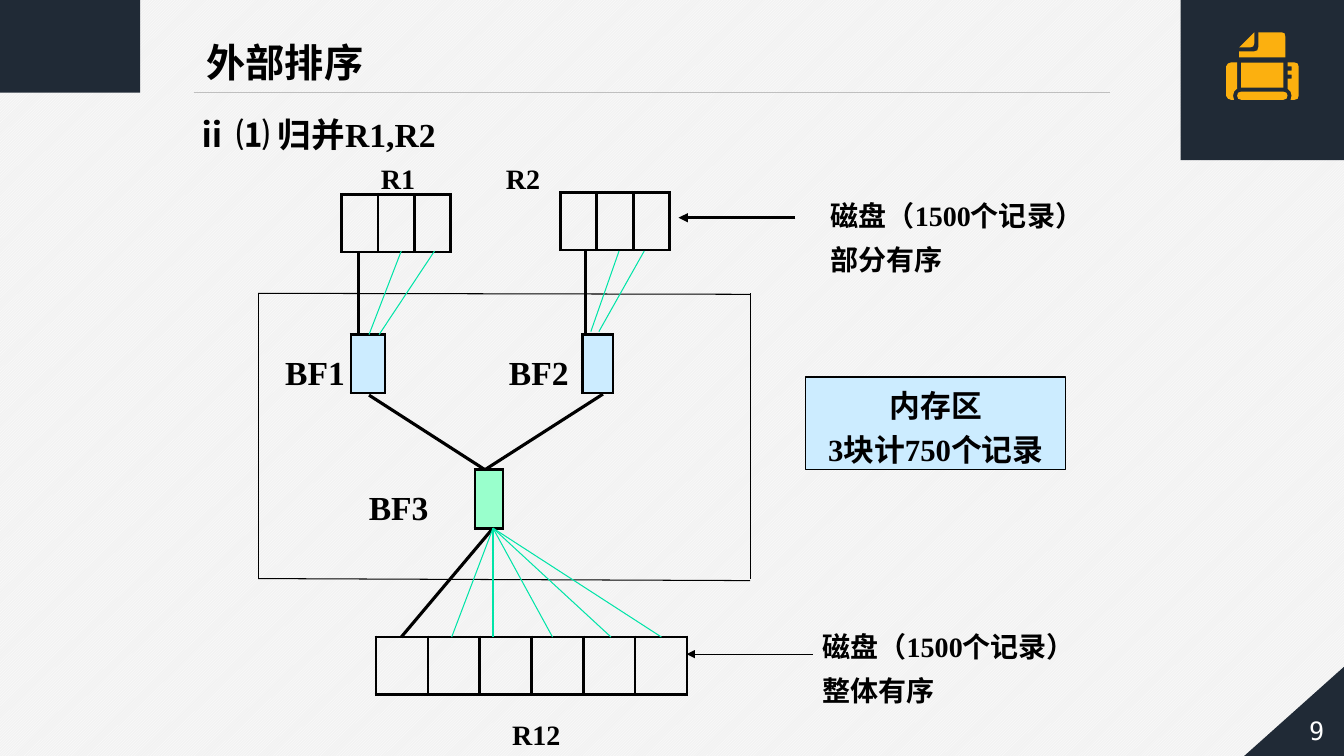
from lxml import etree
from pptx import Presentation, util as u
from pptx.dml import color
from pptx.enum import dml, shapes, text
from pptx.oxml import ns

COLS, ROWS = 1333, 750
COLORS = {
    "navy": "202A36", "rule": "BFBFBF", "black": "000000", "white": "FFFFFF",
    "paper": "F2F2F2", "blue": "CCECFF", "mint": "99FFCC", "green": "00E4A8",
    "amber": "FCB00F",
}
FONT = "Times New Roman"
LEFT, CENTER = text.PP_ALIGN.LEFT, text.PP_ALIGN.CENTER
TOP, MIDDLE = text.MSO_ANCHOR.TOP, text.MSO_ANCHOR.MIDDLE
FIT, FIXED = text.MSO_AUTO_SIZE.SHAPE_TO_FIT_TEXT, text.MSO_AUTO_SIZE.NONE
KIND = shapes.MSO_SHAPE


def rgb(name):
    return color.RGBColor.from_string(COLORS[name])


def assign(target, values):
    for key, value in values.items():
        setattr(target, key, value)


def sub(parent, tag, **attrs):
    return etree.SubElement(parent, ns.qn(tag), **attrs)


class Board:
    def __init__(self, prs):
        self.col = prs.slide_width / COLS
        self.row = prs.slide_height / ROWS
        self.s = prs.slides.add_slide(prs.slide_layouts[5])
        fill = self.s.background.fill
        fill.patterned()
        fill.pattern = dml.MSO_PATTERN.LIGHT_UPWARD_DIAGONAL
        fill.fore_color.rgb, fill.back_color.rgb = rgb("white"), rgb("paper")

    def box(self, x, y, w, h):
        return [round(v * step) for v, step in
                zip((x, y, w, h), (self.col, self.row) * 2)]

    def set_text(self, sp, lines, size, spacing=1.3, align=LEFT, anchor=TOP, wrap=True,
                 fit=FIXED, font=FONT, ink="black", bold=True, tab=None):
        tf = sp.text_frame
        assign(tf, {"word_wrap": wrap, "auto_size": fit, "vertical_anchor": anchor})
        for i, line in enumerate(lines):
            p = tf.add_paragraph() if i else tf.paragraphs[0]
            if tab:
                stops = sub(p._p.get_or_add_pPr(), "a:tabLst")
                sub(stops, "a:tab", pos=str(round(tab * self.col)), algn="l")
            assign(p, {"alignment": align, "line_spacing": spacing})
            r = p.add_run()
            r.text = line
            assign(r.font, {"name": font, "size": u.Pt(size), "bold": bold})
            r.font.color.rgb = rgb(ink)

    def title(self, at, line, size):
        sp = self.s.shapes.title
        assign(sp, dict(zip(("left", "top", "width", "height"), self.box(*at))))
        self.set_text(sp, [line], size, wrap=False)

    def label(self, at, lines, size, **style):
        sp = self.s.shapes.add_textbox(*self.box(*at))
        self.set_text(sp, lines, size, fit=FIT, **style)

    def paint(self, sp, fill, line):
        sp.shadow.inherit = False
        if fill:
            sp.fill.solid()
            sp.fill.fore_color.rgb = rgb(fill)
        else:
            sp.fill.background()
        if line:
            sp.line.color.rgb, sp.line.width = rgb(line), u.Pt(0.75)
        else:
            sp.line.fill.background()
        return sp

    def shape(self, kind, at, fill=None, line=None, flip=False):
        sp = self.paint(self.s.shapes.add_shape(kind, *self.box(*at)), fill, line)
        if flip:
            sp._element.spPr.find(ns.qn("a:xfrm")).set("flipH", "1")
        return sp

    def outline(self, points, fill):
        start, *rest = points
        builder = self.s.shapes.build_freeform(*start, scale=(self.col, self.row))
        builder.add_line_segments(rest, close=True)
        self.paint(builder.convert_to_shape(), fill, None)

    def line(self, start, end, ink="black", width=0.75, arrow=False):
        c = self.s.shapes.add_connector(
            shapes.MSO_CONNECTOR.STRAIGHT, *self.box(*start, *end))
        c.line.color.rgb, c.line.width = rgb(ink), u.Pt(width)
        if arrow:
            sub(c.line._get_or_add_ln(), "a:tailEnd", type="triangle")
        sub(c._element.spPr, "a:effectLst")

    def blocks(self, x, y, count, width, height, fill=None):
        frame = self.s.shapes.add_table(
            1, count, *self.box(x, y, count * width, height))
        table = frame.table
        assign(table, {"first_row": False, "horz_banding": False})
        for cell in table.iter_cells():
            tc_pr = cell._tc.get_or_add_tcPr()
            for side in "LRTB":
                ln = sub(tc_pr, f"a:ln{side}", w=str(u.Pt(2.25)))
                sub(sub(ln, "a:solidFill"), "a:srgbClr", val=COLORS["black"])
            if fill:
                cell.fill.solid()
                cell.fill.fore_color.rgb = rgb(fill)
            else:
                cell.fill.background()


def frame_slide(b):
    b.shape(KIND.RECTANGLE, (0, 0, 139, 92), "navy")
    b.line((192, 92), (1101, 92), "rule", 0.5)
    b.shape(KIND.RIGHT_TRIANGLE, (1233, 658, 104, 93), "navy", flip=True)
    number = b.shape(KIND.PENTAGON, (1245, 697, 108, 55), flip=True)
    b.set_text(number, ["9"], 18, spacing=1.0, align=CENTER, anchor=MIDDLE,
               font="DejaVu Sans Mono", ink="white", bold=False)
    b.title((195, 19, 177, 65), "外部排序", 28)


def draw_merge(b):
    for x, y, count, width, height, fill in [
            (339, 193, 3, 36, 57, None), (556, 191, 3, 36, 57, None),
            (373, 632, 6, 51.4, 57, None), (471, 466, 1, 28, 58, "mint"),
            (578, 332, 1, 30, 58, "blue"), (348, 332, 1, 34, 58, "blue")]:
        b.blocks(x, y, count, width, height, fill)

    b.label((368, 145, 380, 50), ["R1\tR2"], 20, tab=124)
    for x, y, width, name in [(273, 332, 92, "BF1"), (495, 332, 83, "BF2"),
                              (356, 466, 92, "BF3")]:
        b.label((x, y, width, 57), [name], 24)
    b.label((498, 697, 92, 50), ["R12"], 20)

    for start, end in [((356, 249), (356, 332)), ((581, 249), (581, 332)),
                       ((366, 392), (481, 466)), ((598, 391), (481, 466)),
                       ((489, 524), (398, 632))]:
        b.line(start, end, width=2.25)
    for start, end in [((256, 291), (256, 574)), ((256, 574), (744, 576)),
                       ((256, 291), (744, 292)), ((744, 291), (744, 574))]:
        b.line(start, end)
    for top, bottom, y in [(398, 366, 332), (431, 376, 332),
                           (614, 586, 329), (639, 594, 329)]:
        b.line((top, 249), (bottom, y), "green")
    for x in (448, 489, 548, 606, 656):
        b.line((489, 524), (x, 632), "green")


def draw_notes(b):
    memory = b.shape(KIND.RECTANGLE, (799, 374, 258, 92), "blue", "black")
    b.set_text(memory, ["内存区", "3块计750个记录"], 22, spacing=1.2,
               align=CENTER, anchor=MIDDLE, wrap=False)
    for x, y, state in [(814, 182, "部分有序"), (806, 610, "整体有序")]:
        b.label((x, y, 317, 93), ["磁盘（1500个记录）", state], 20)
    b.line((789, 216), (673, 216), width=2.25, arrow=True)
    b.line((806, 649), (681, 649), arrow=True)
    b.label((184, 96, 378, 63), ["ⅱ ⑴ 归并R1,R2"], 24)


def draw_printer(b):
    b.shape(KIND.RECTANGLE, (1171, -3, 163, 162), "navy")
    left_side = [(1221, 62), (1227, 62), (1227, 88), (1224, 91), (1223, 95),
                 (1224, 99), (1221, 99), (1217.5, 98), (1216, 95), (1216, 66),
                 (1217.5, 63)]
    tray = [(1231, 91), (1273, 91), (1276, 92), (1277, 95), (1276, 98),
            (1273, 99), (1231, 99), (1228, 98), (1227, 95), (1228, 92)]
    right_side = [(1277, 88), (1277, 78), (1281, 78), (1281, 74), (1277, 74),
                  (1277, 70), (1281, 70), (1281, 66), (1277, 66), (1277, 62),
                  (1284, 62), (1287, 63), (1288, 66), (1288, 95), (1287, 98),
                  (1284, 99), (1280, 99), (1281, 95), (1280, 91)]
    corner = [(1229, 47), (1244, 32), (1244, 43), (1243, 46), (1240, 47)]
    sheet = [(1229, 51), (1244, 51), (1247, 50), (1248, 47), (1248, 32),
             (1271, 32), (1274, 33), (1275, 37), (1275, 57), (1229, 57)]
    for points in (left_side, tray, right_side, corner, sheet):
        b.outline(points, "amber")
    b.shape(KIND.RECTANGLE, (1231, 62, 42, 25), "amber")


def main():
    prs = Presentation()
    prs.slide_width, prs.slide_height = u.Inches(13.33), u.Inches(7.5)
    b = Board(prs)
    for draw in (frame_slide, draw_merge, draw_notes, draw_printer):
        draw(b)
    prs.save("out.pptx")


if __name__ == "__main__":
    main()
